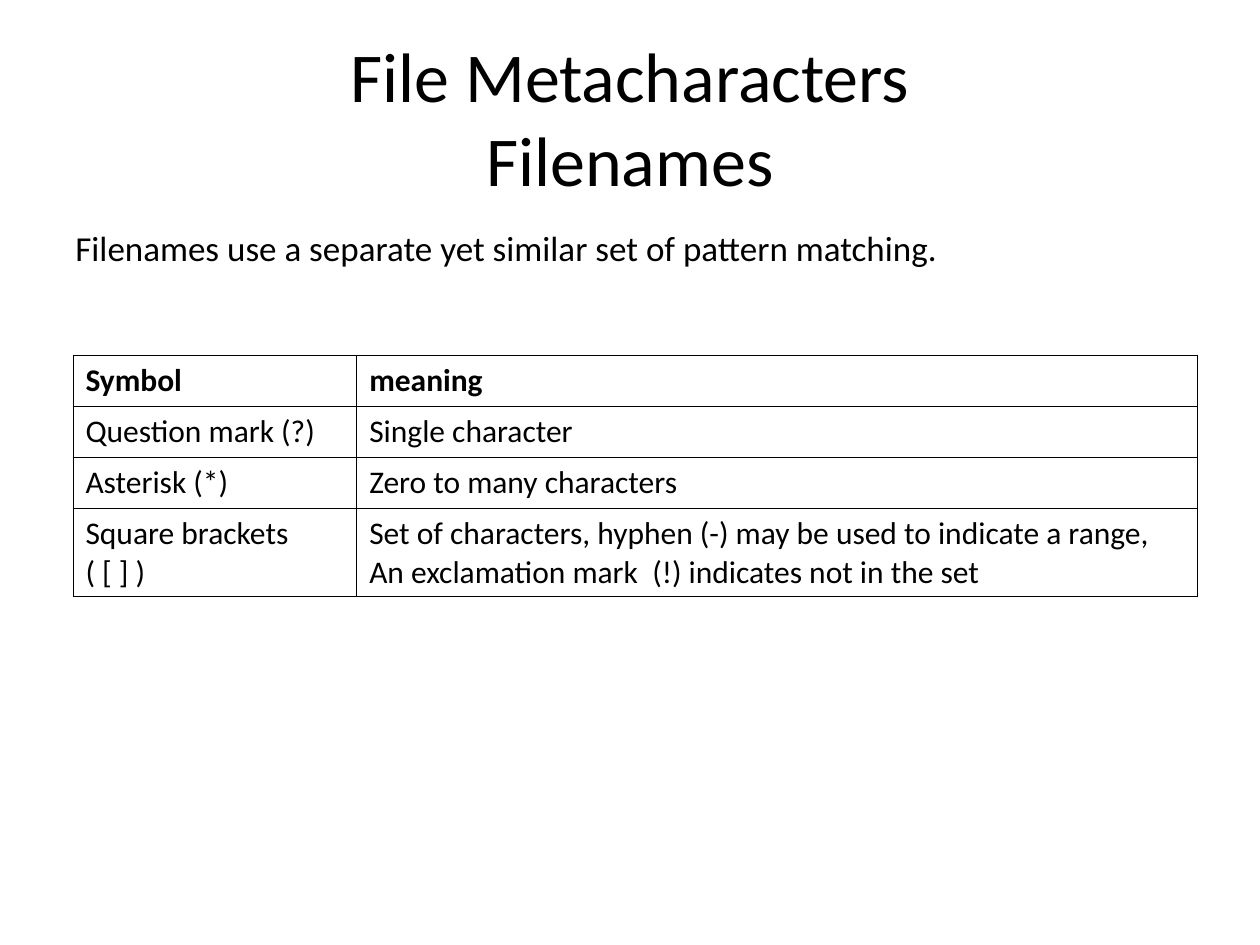
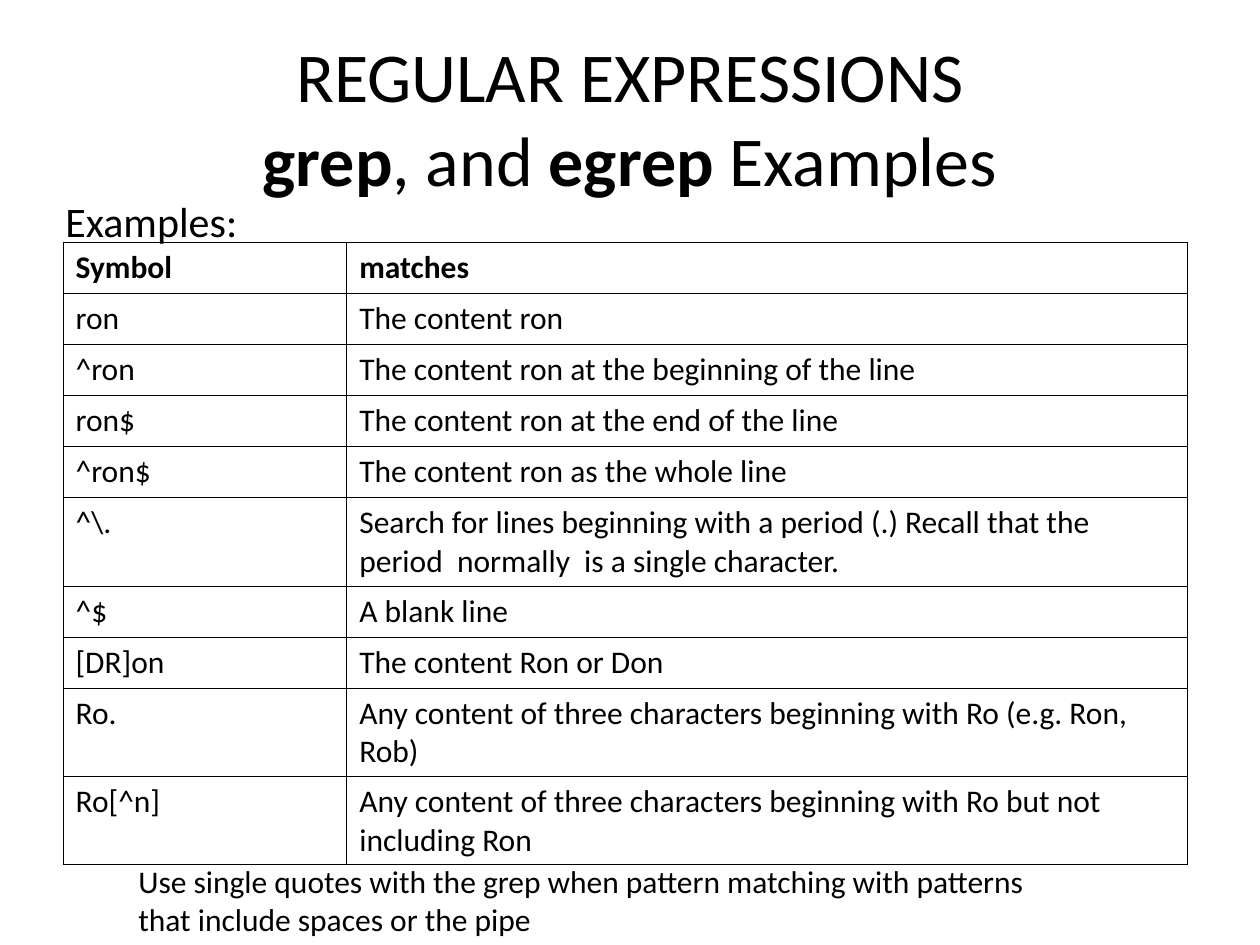
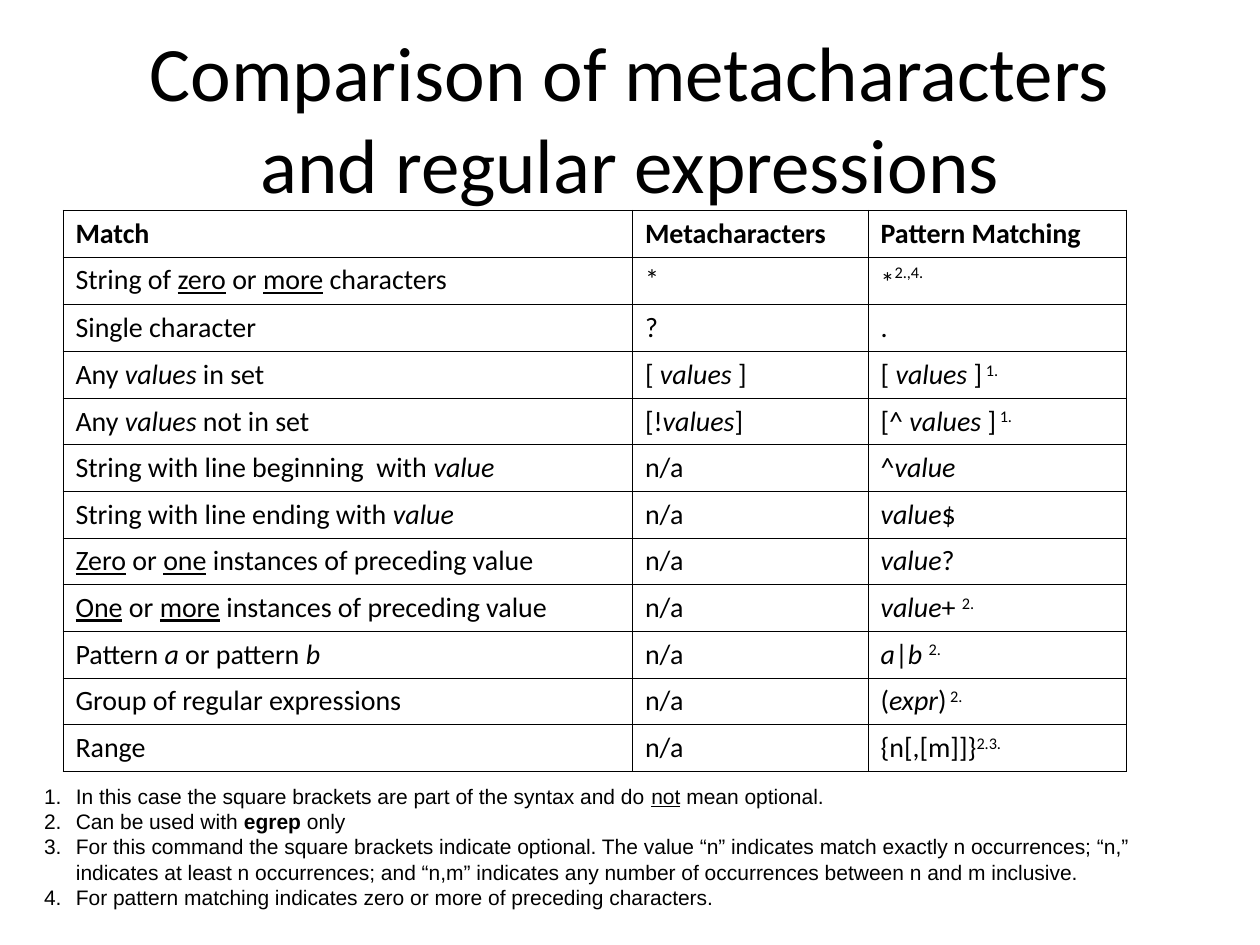
from dataclasses import dataclass

from lxml import etree
from pptx import Presentation
from pptx.dml.color import RGBColor
from pptx.enum.text import MSO_ANCHOR, PP_ALIGN
from pptx.oxml.ns import qn
from pptx.util import Cm, Pt

BLACK = RGBColor(0x00, 0x00, 0x00)
WHITE = RGBColor(0xFF, 0xFF, 0xFF)
LEFT, CENTER = PP_ALIGN.LEFT, PP_ALIGN.CENTER
TOP, MIDDLE = MSO_ANCHOR.TOP, MSO_ANCHOR.MIDDLE
MAIN, PLAIN = "Calibri", "Arial"
BORDER = Pt(0.45)
HANG = Cm(0.64)


@dataclass(frozen=True)
class Bit:
    """A stretch of text with one style."""
    text: str
    bold: bool = False
    slant: bool = False
    under: bool = False
    lift: int = 0  # superscript, in percent


Para = str | tuple[str | Bit, ...]
Text = Para | list[Para]


@dataclass(frozen=True)
class Box:
    left: float
    top: float
    width: float
    height: float
    text: Text
    size: int
    font: str = MAIN
    align: PP_ALIGN = LEFT
    anchor: MSO_ANCHOR = TOP
    count: bool = False  # numbered list


@dataclass(frozen=True)
class Grid:
    left: float
    top: float
    cols: tuple[float, ...]
    row: float
    rows: list[tuple[Text, ...]]
    size: int
    fill: RGBColor | None = None
    tall: tuple[int, ...] = ()  # rows that hold two lines


TALL = 1.78


def bold(text: str) -> Bit:
    return Bit(text, bold=True)


def slant(text: str) -> Bit:
    return Bit(text, slant=True)


def under(text: str) -> Bit:
    return Bit(text, under=True)


def lift(text: str, rise: int = 30) -> Bit:
    return Bit(text, lift=rise)


def title(text: Para, size: int = 40) -> Box:
    return Box(1.27, 0.76, 22.86, 3.18, text, size, align=CENTER, anchor=MIDDLE)


def write(frame, text: Text, size: int, font: str = MAIN, heavy: bool = False) -> None:
    """Fill a text frame, one paragraph for each entry of a list."""
    for i, para in enumerate(text if isinstance(text, list) else [text]):
        line = frame.add_paragraph() if i else frame.paragraphs[0]
        for item in (para,) if isinstance(para, str) else para:
            bit = Bit(item) if isinstance(item, str) else item
            for j, part in enumerate(bit.text.split("\n")):
                if j:
                    line.add_line_break()
                if not part:
                    continue
                run = line.add_run()
                run.text = part
                run.font.name, run.font.size = font, Pt(size)
                run.font.color.rgb = BLACK
                run.font.bold = heavy or bit.bold
                run.font.italic, run.font.underline = bit.slant, bit.under
                if bit.lift:
                    run.font._element.set("baseline", str(bit.lift * 1000))


def number(line) -> None:
    """Number a paragraph with a hanging indent."""
    props = line._p.get_or_add_pPr()
    props.set("marL", str(HANG))
    props.set("indent", str(-HANG))
    etree.SubElement(props, qn("a:buFont"), typeface="+mj-lt")
    etree.SubElement(props, qn("a:buAutoNum"), type="arabicPeriod")


def draw_box(slide, box: Box) -> None:
    shape = slide.shapes.add_textbox(
        Cm(box.left), Cm(box.top), Cm(box.width), Cm(box.height))
    frame = shape.text_frame
    frame.word_wrap = True
    frame.vertical_anchor = box.anchor
    write(frame, box.text, box.size, box.font)
    for line in frame.paragraphs:
        line.alignment = box.align
        if box.count:
            number(line)


def rule(cell) -> None:
    """Draw the four borders of a cell."""
    props = cell._tc.get_or_add_tcPr()
    for i, side in enumerate(("lnL", "lnR", "lnT", "lnB")):
        edge = etree.Element(qn(f"a:{side}"), w=str(BORDER))
        paint = etree.SubElement(edge, qn("a:solidFill"))
        etree.SubElement(paint, qn("a:srgbClr"), val=str(BLACK))
        props.insert(i, edge)


def draw_grid(slide, grid: Grid) -> None:
    highs = [TALL if i in grid.tall else grid.row for i in range(len(grid.rows))]
    table = slide.shapes.add_table(
        len(highs), len(grid.cols), Cm(grid.left), Cm(grid.top),
        Cm(sum(grid.cols)), Cm(sum(highs))).table
    for col, width in zip(table.columns, grid.cols):
        col.width = Cm(width)
    for i, (row, high) in enumerate(zip(table.rows, highs)):
        row.height = Cm(high)
        for cell, text in zip(row.cells, grid.rows[i]):
            write(cell.text_frame, text, grid.size, heavy=i == 0)
            if grid.fill is None:
                cell.fill.background()
            else:
                cell.fill.solid()
                cell.fill.fore_color.rgb = grid.fill
            rule(cell)


PAIR = (5.72, 16.94)
NONE = "n/a"

# File name patterns
FILES = [
    title("File Metacharacters\nFilenames"),
    Box(1.27, 4.45, 22.86, 12.57,
        "Filenames use a separate yet similar set of pattern matching.", 20),
    Grid(1.47, 7.16, PAIR, 1.03, [
        ("Symbol", "meaning"),
        ("Question mark (?)", "Single character"),
        ("Asterisk (*)", "Zero to many characters"),
        (["Square brackets", "( [ ] )"],
         "Set of characters, hyphen (-) may be used to indicate a range, "
         "An exclamation mark  (!) indicates not in the set"),
    ], 18, tall=(3,)),
]

# Examples for grep and egrep
SEARCH = [
    title(("REGULAR EXPRESSIONS\n", bold("grep"), ", and ", bold("egrep"), " Examples")),
    Box(1.07, 3.81, 22.86, 13.21, "Examples:", 24),
    Grid(1.27, 4.88, PAIR, 1.03, [
        ("Symbol", "matches"),
        ("ron", "The content ron"),
        ("^ron", "The content ron at the beginning of the line"),
        ("ron$", "The content ron at the end of the line"),
        ("^ron$", "The content ron as the whole line"),
        ("^\\.", "Search for lines beginning with a period (.) Recall that the "
                 "period  normally  is a single character."),
        ("^$", "A blank line"),
        ("[DR]on", "The content Ron or Don"),
        ("Ro.", "Any content of three characters beginning with Ro (e.g. Ron, Rob)"),
        ("Ro[^n]", "Any content of three characters beginning with Ro but not "
                   "including Ron"),
    ], 18, tall=(5, 8, 9)),
    Box(2.54, 17.25, 18.85, 1.78,
        "Use single quotes with the grep when pattern matching with patterns "
        "that include spaces or the pipe", 18),
]

# Both notations side by side
MATCH = [
    title("Comparison of metacharacters\nand regular expressions", 44),
    Grid(1.27, 4.24, (11.48, 4.75, 5.21), 0.94, [
        ("Match", "Metacharacters", "Pattern Matching"),
        (("String of ", under("zero"), " or ", under("more"), " characters"),
         "*", ("*", lift("2.,4.", 48))),
        ("Single character", "?", "."),
        (("Any ", slant("values"), " in set"),
         ("[ ", slant("values"), " ]"),
         ("[ ", slant("values"), " ]", lift(" 1."))),
        (("Any ", slant("values"), " not in set"),
         ("[!", slant("values"), "]"),
         ("[^ ", slant("values"), " ]", lift(" 1."))),
        (("String with line beginning  with ", slant("value")),
         NONE, ("^", slant("value"))),
        (("String with line ending with ", slant("value")),
         NONE, (slant("value"), "$")),
        ((under("Zero"), " or ", under("one"), " instances of preceding value"),
         NONE, (slant("value"), "?")),
        ((under("One"), " or ", under("more"), " instances of preceding value"),
         NONE, (slant("value"), "+ ", lift("2."))),
        (("Pattern ", slant("a"), " or pattern ", slant("b")),
         NONE, (slant("a"), "|", slant("b "), lift("2."))),
        ("Group of regular expressions",
         NONE, ("(", slant("expr"), ")", lift(" 2."))),
        ("Range", NONE, ("{n[,[m]]}", lift("2.3."))),
    ], 16, fill=WHITE),
    Box(0.64, 15.67, 23.7, 2.79, [
        ("In this case the square brackets are part of the syntax and do ",
         under("not"), " mean optional."),
        ("Can be used with ", bold("egrep"), " only"),
        "For this command the square brackets indicate optional. The value “n” "
        "indicates match exactly n occurrences; “n,” indicates at least n "
        "occurrences; and “n,m” indicates any number of occurrences between n "
        "and m inclusive.",
        "For pattern matching indicates zero or more of preceding characters.",
    ], 12, PLAIN, count=True),
]


def main() -> None:
    deck = Presentation()
    deck.slide_width, deck.slide_height = Cm(25.4), Cm(19.05)
    blank = deck.slide_layouts[6]
    for parts in (FILES, SEARCH, MATCH):
        slide = deck.slides.add_slide(blank)
        for part in parts:
            if isinstance(part, Grid):
                draw_grid(slide, part)
            else:
                draw_box(slide, part)
    deck.save("out.pptx")


if __name__ == "__main__":
    main()
